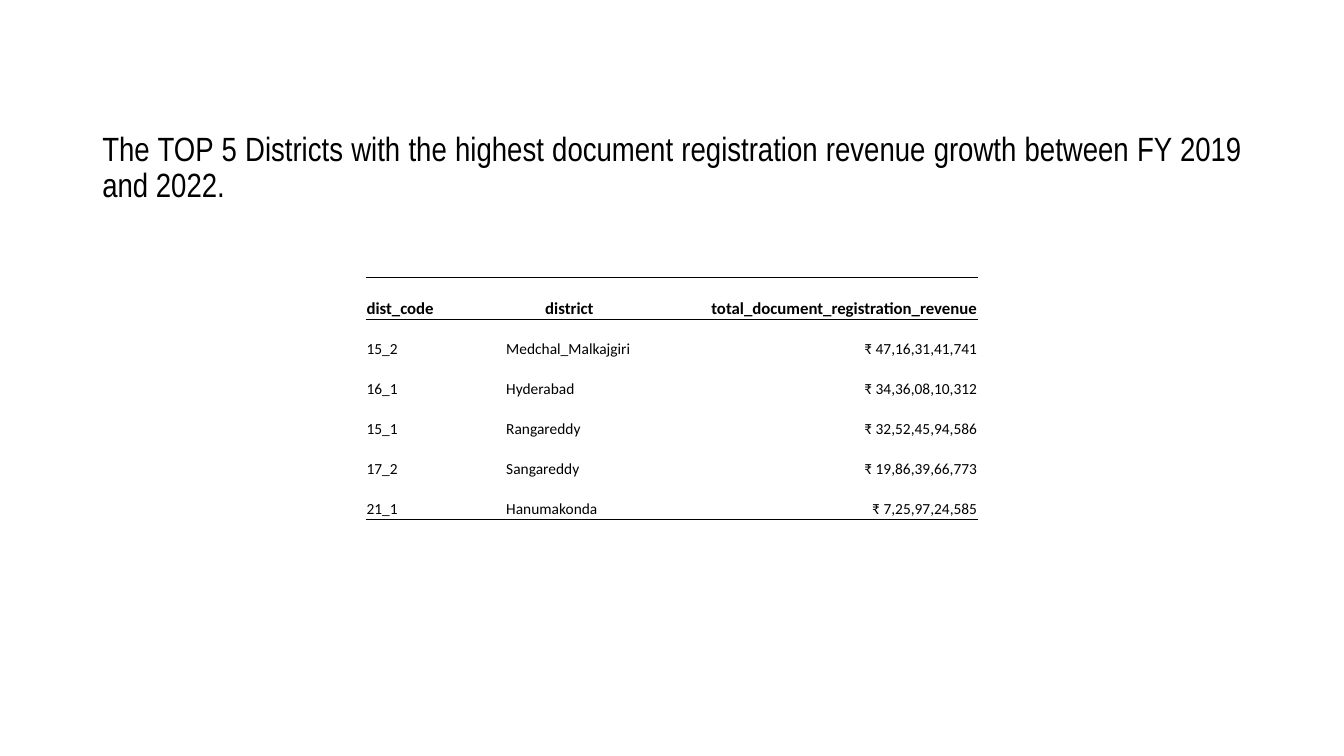
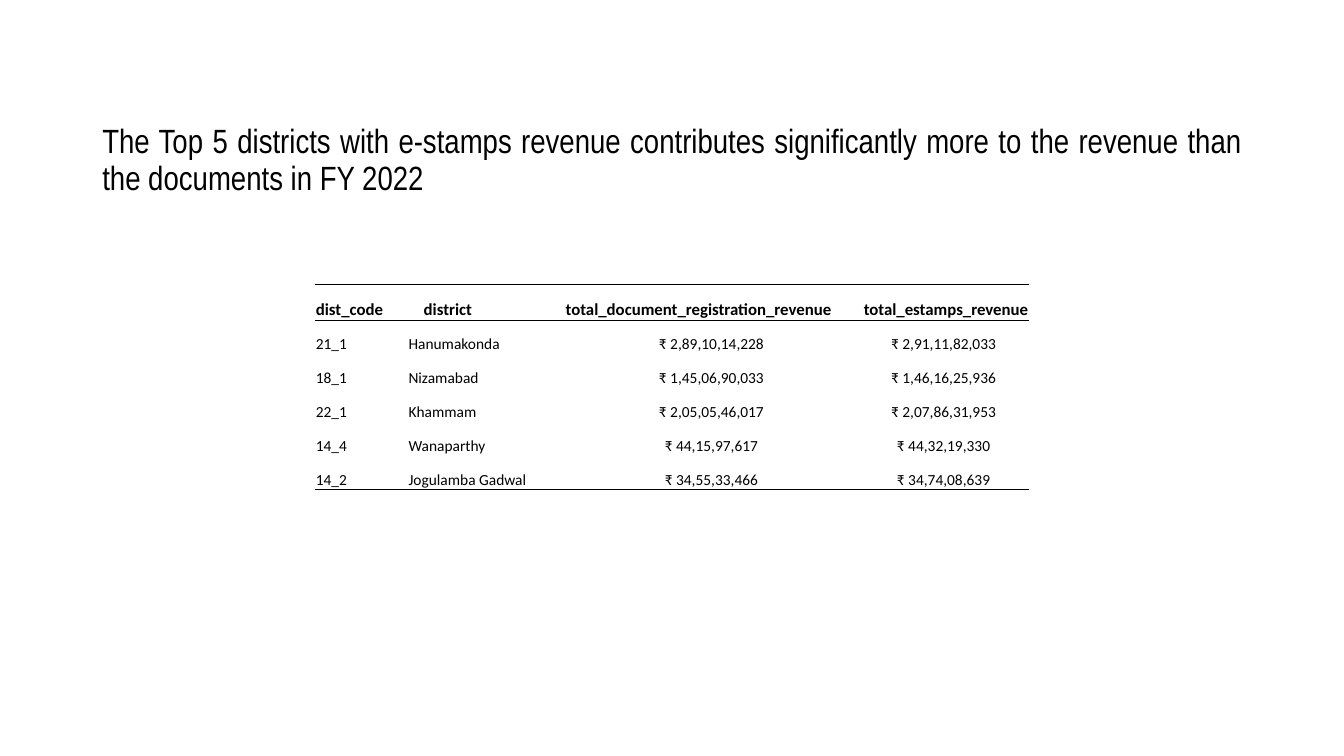
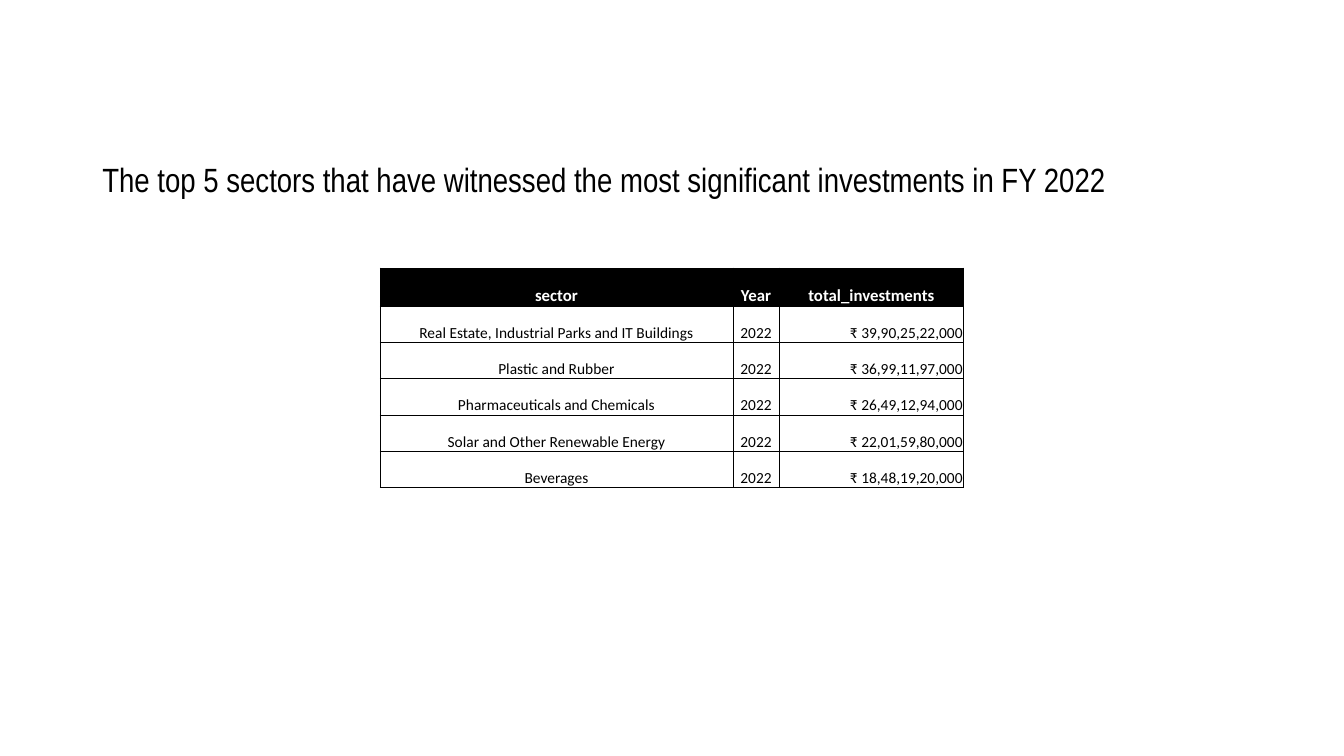
from pptx import Presentation
from pptx.dml.color import RGBColor
from pptx.enum.text import MSO_ANCHOR, PP_ALIGN
from pptx.oxml.ns import qn
from pptx.util import Pt
from lxml.etree import SubElement

BLACK = RGBColor(0, 0, 0)
WHITE = RGBColor(255, 255, 255)
TITLE_FONT, TABLE_FONT = "Arial Narrow", "Calibri"
TITLE_SIZE, HEADER_SIZE, BODY_SIZE = 24, 12, 11
TITLE_LEFT, TITLE_WIDTH, TITLE_HEIGHT = 66, 828, 104.4
CELL_INSET = 0.6
RULE = 0.5
ALIGN = {"l": PP_ALIGN.LEFT, "c": PP_ALIGN.CENTER, "r": PP_ALIGN.RIGHT, "j": PP_ALIGN.JUSTIFY}

# Alignment strings hold one letter per column.
# Header indents are in points, by column number.
SLIDES = [
    dict(
        title="The TOP 5 Districts with the highest document registration revenue growth "
              "between FY 2019 and 2022.",
        title_top=68.4, title_align="j",
        table_at=(261.2, 198), columns=(99.8, 91.5, 246.2), header_height=30, row_height=28.55,
        header_align="lcr", body_align="llr", header_indents={}, grid=False,
        rows=[
            ("dist_code", "district", "total_document_registration_revenue"),
            ("15_2", "Medchal_Malkajgiri", "₹ 47,16,31,41,741"),
            ("16_1", "Hyderabad", "₹ 34,36,08,10,312"),
            ("15_1", "Rangareddy", "₹ 32,52,45,94,586"),
            ("17_2", "Sangareddy", "₹ 19,86,39,66,773"),
            ("21_1", "Hanumakonda", "₹ 7,25,97,24,585"),
        ],
    ),
    dict(
        title="The Top 5 districts with e-stamps revenue contributes significantly more "
              "to the revenue than the documents in FY 2022",
        title_top=62.8, title_align="j",
        table_at=(225, 203), columns=(66.2, 112.3, 209.5, 122.2),
        header_height=25.6, row_height=24.2,
        header_align="lllr", body_align="llcc", header_indents={1: 10.85}, grid=False,
        rows=[
            ("dist_code", "district", "total_document_registration_revenue",
             "total_estamps_revenue"),
            ("21_1", "Hanumakonda", "₹ 2,89,10,14,228", "₹ 2,91,11,82,033"),
            ("18_1", "Nizamabad", "₹ 1,45,06,90,033", "₹ 1,46,16,25,936"),
            ("22_1", "Khammam", "₹ 2,05,05,46,017", "₹ 2,07,86,31,953"),
            ("14_4", "Wanaparthy", "₹ 44,15,97,617", "₹ 44,32,19,330"),
            ("14_2", "Jogulamba Gadwal", "₹ 34,55,33,466", "₹ 34,74,08,639"),
        ],
    ),
    dict(
        title="The top 5 sectors that have witnessed the most significant investments in FY 2022",
        title_top=77.3, title_align="l",
        table_at=(271.5, 191.5), columns=(252, 33.1, 131.8), header_height=27.3, row_height=25.9,
        header_align="ccc", body_align="ccr", header_indents={}, grid=True,
        rows=[
            ("sector", "Year", "total_investments"),
            ("Real Estate, Industrial Parks and IT Buildings", "2022", "₹ 39,90,25,22,000"),
            ("Plastic and Rubber", "2022", "₹ 36,99,11,97,000"),
            ("Pharmaceuticals and Chemicals", "2022", "₹ 26,49,12,94,000"),
            ("Solar and Other Renewable Energy", "2022", "₹ 22,01,59,80,000"),
            ("Beverages", "2022", "₹ 18,48,19,20,000"),
        ],
    ),
]


def write(frame, text, align, font, size, color, bold=False):
    """Put one formatted paragraph in a text frame and return it."""
    frame.text = text
    paragraph = frame.paragraphs[0]
    paragraph.alignment = ALIGN[align]
    style = paragraph.runs[0].font
    style.name, style.size, style.bold = font, Pt(size), bold
    style.color.rgb = color
    return paragraph


def add_title(slide, content):
    """Add the slide title, centred vertically in its box."""
    frame = slide.shapes.add_textbox(Pt(TITLE_LEFT), Pt(content["title_top"]),
                                     Pt(TITLE_WIDTH), Pt(TITLE_HEIGHT)).text_frame
    frame.word_wrap = True
    frame.vertical_anchor = MSO_ANCHOR.MIDDLE
    write(frame, content["title"], content["title_align"], TITLE_FONT, TITLE_SIZE,
          BLACK).line_spacing = 0.9


def set_borders(cell, widths):
    """Draw the four cell edges (left, right, top, bottom); width 0 is no line."""
    properties = cell._tc.get_or_add_tcPr()
    for side, width in zip("LRTB", widths):
        edge = SubElement(properties, qn("a:ln" + side), w=str(Pt(width)))
        if width:
            SubElement(SubElement(edge, qn("a:solidFill")), qn("a:srgbClr"), val=str(BLACK))
        else:
            SubElement(edge, qn("a:noFill"))


def edge_widths(row, last, grid):
    """Return the left, right, top and bottom line widths for a row."""
    if grid:
        return RULE, RULE, 2 * RULE if row == 0 else RULE, 2 * RULE if row == last else RULE
    return 0, 0, RULE if row in (0, 1) else 0, RULE if row in (0, last) else 0


def add_data_table(slide, content):
    """Add the table with its header, rules and alignment."""
    rows, columns, grid = content["rows"], content["columns"], content["grid"]
    last = len(rows) - 1
    left, top = content["table_at"]
    height = content["header_height"] + last * content["row_height"]
    table = slide.shapes.add_table(len(rows), len(columns), Pt(left), Pt(top),
                                   Pt(sum(columns)), Pt(height)).table
    table.first_row = table.horz_banding = False
    for column, width in zip(table.columns, columns):
        column.width = Pt(width)
    for r, values in enumerate(rows):
        header = r == 0
        inverted = header and grid
        table.rows[r].height = Pt(content["header_height" if header else "row_height"])
        aligns = content["header_align" if header else "body_align"]
        for c, (value, align) in enumerate(zip(values, aligns)):
            cell = table.cell(r, c)
            indent = content["header_indents"].get(c, 0) if header else 0
            cell.margin_left = Pt(CELL_INSET + indent)
            cell.margin_right = cell.margin_top = Pt(CELL_INSET)
            cell.margin_bottom = 0
            cell.vertical_anchor = MSO_ANCHOR.BOTTOM
            write(cell.text_frame, value, align, TABLE_FONT,
                  HEADER_SIZE if header else BODY_SIZE, WHITE if inverted else BLACK, header)
            set_borders(cell, edge_widths(r, last, grid))
            if inverted:
                cell.fill.solid()
                cell.fill.fore_color.rgb = BLACK
            else:
                cell.fill.background()


deck = Presentation()
deck.slide_width, deck.slide_height = Pt(960), Pt(540)
for content in SLIDES:
    slide = deck.slides.add_slide(deck.slide_layouts[6])
    add_title(slide, content)
    add_data_table(slide, content)
deck.save("out.pptx")
